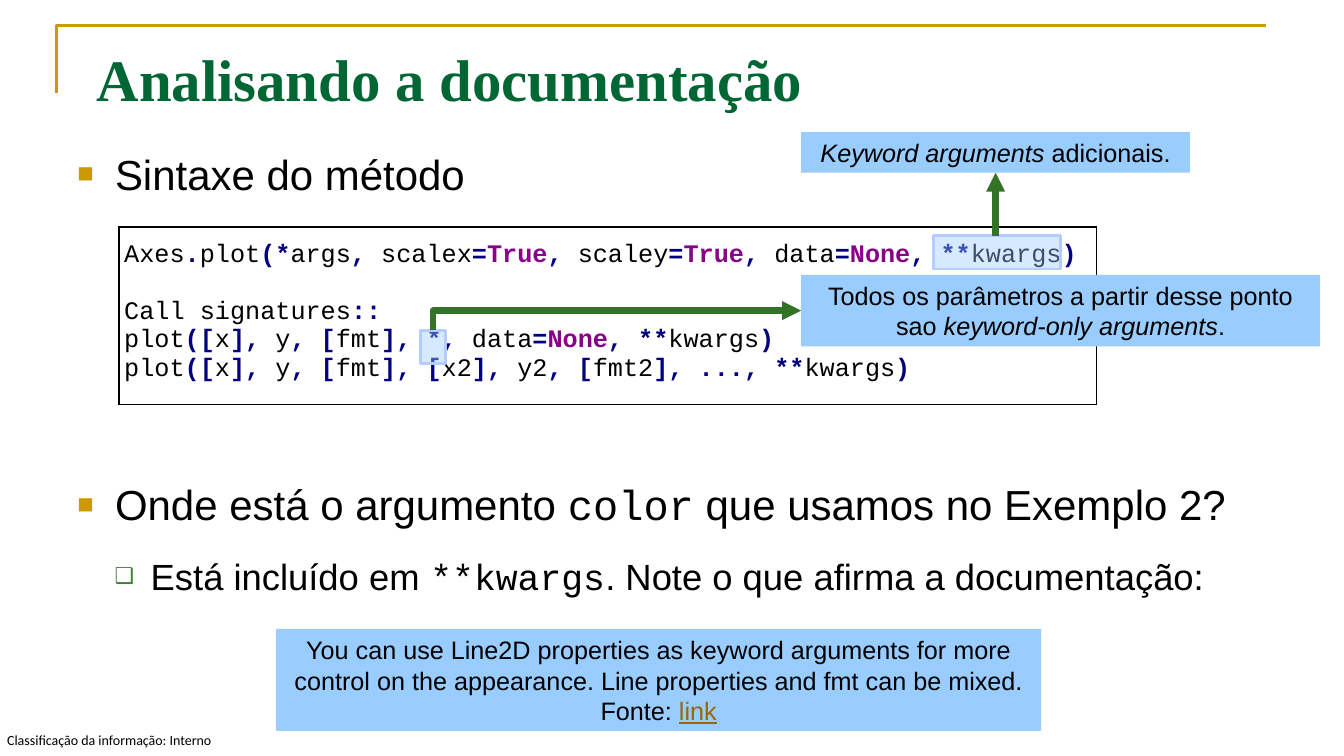
from itertools import groupby

from pptx import Presentation
from pptx.dml.color import RGBColor
from pptx.enum.shapes import MSO_CONNECTOR, MSO_SHAPE
from pptx.enum.text import MSO_ANCHOR, PP_ALIGN
from pptx.oxml import parse_xml
from pptx.oxml.ns import nsdecls, qn
from pptx.util import Cm, Pt

BLACK = RGBColor(0x00, 0x00, 0x00)
GOLD = RGBColor(0xCC, 0x99, 0x00)
TITLE_GREEN = RGBColor(0x00, 0x66, 0x33)
ARROW_GREEN = RGBColor(0x33, 0x73, 0x27)
BULLET_GREEN = RGBColor(0x3B, 0x81, 0x2F)
SKY = RGBColor(0x99, 0xCC, 0xFF)
MARK_EDGE = RGBColor(0xB4, 0xCC, 0xFF)
NAVY = RGBColor(0x00, 0x00, 0x80)
PURPLE = RGBColor(0x88, 0x00, 0x88)
LINK_BROWN = RGBColor(0x99, 0x66, 0x00)
SANS, MONO = "Arial", "Courier New"

TITLE = "Analisando a documentação"
FOOTER = "Classificação da informação: Interno"
ITALIC = {"italic": True}
CODE_FONT = {"name": MONO}
LINK = {"underline": True, "color": LINK_BROWN}

TOPICS = [
    {"runs": [("Sintaxe do método", {})], "level": 0, "gap": 0},
    {"runs": [("Onde está o argumento ", {}), ("color", CODE_FONT),
              (" que usamos no Exemplo 2?", {})], "level": 0, "gap": 200},
    {"runs": [("Está incluído em ", {}), ("**kwargs", CODE_FONT),
              (". Note o que afirma a documentação:", {})], "level": 1, "gap": 18},
]
LEVELS = [
    {"size": 30, "left": 0.95, "hang": 0.95, "bullet": "■", "color": GOLD, "percent": 65},
    {"size": 26, "left": 1.85, "hang": 0.91, "bullet": "❑", "color": BULLET_GREEN, "percent": 60},
]
CODE = [
    "Axes.plot(*args, scalex=True, scaley=True, data=None, **kwargs)",
    "Call signatures::",
    "plot([x], y, [fmt], *, data=None, **kwargs)",
    "plot([x], y, [fmt], [x2], y2, [fmt2], ..., **kwargs)",
]
CONSTANTS = ("True", "None")
PUNCTUATION = "()[]*.,=:"

STAR_MARK = (10.59, 8.33, 0.64, 0.84)
KWARGS_MARK = (23.52, 5.94, 3.2, 0.84)
KEYWORD_ONLY_BOX = (20.19, 6.93, 13.08, 1.8)
KEYWORD_BOX = (20.19, 3.33, 9.8, 1.02)
QUOTE_BOX = (6.96, 15.85, 19.28, 2.57)
KEYWORD_ONLY_NOTE = [[("Todos os parâmetros a partir desse ponto sao ", {}),
                      ("keyword-only arguments", ITALIC), (".", {})]]
KEYWORD_NOTE = [[("Keyword arguments", ITALIC), (" adicionais.", {})]]
QUOTE = [
    [("You can use Line2D properties as keyword arguments for more control on the "
      "appearance. Line properties and fmt can be mixed.", {})],
    [("Fonte: ", {}), ("link", LINK)],
]


def place(box):
    return [Cm(length) for length in box]


def add_run(paragraph, text, size, name=SANS, color=BLACK, **style):
    run = paragraph.add_run()
    run.text = text
    run.font.size = Pt(size)
    run.font.name = name
    run.font.color.rgb = color
    for attribute, value in style.items():
        setattr(run.font, attribute, value)


def paragraphs_for(frame, items):
    for index, item in enumerate(items):
        yield (frame.add_paragraph() if index else frame.paragraphs[0]), item


def add_frame(slide):
    builder = slide.shapes.build_freeform(Cm(1.42), Cm(2.34))
    builder.add_line_segments([(Cm(1.42), Cm(0.64)), (Cm(31.9), Cm(0.64))], close=False)
    frame = builder.convert_to_shape()
    frame.shadow.inherit = False
    frame.fill.background()
    frame.line.color.rgb = GOLD
    frame.line.width = Pt(2.5)


def add_footer(slide):
    footer = slide.shapes.add_textbox(*place((0.18, 18.44, 5.26, 0.43))).text_frame
    footer.margin_left = footer.margin_right = footer.margin_top = footer.margin_bottom = 0
    add_run(footer.paragraphs[0], FOOTER, 10, name="Calibri")


def add_title(slide):
    title = slide.shapes.title
    title.left, title.top, title.width, title.height = place((2.18, 0.91, 30.48, 2.08))
    title.text_frame.vertical_anchor = MSO_ANCHOR.BOTTOM
    heading = title.text_frame.paragraphs[0]
    heading.alignment = PP_ALIGN.LEFT
    add_run(heading, TITLE, 42, name="Times New Roman", color=TITLE_GREEN, bold=True)


def add_topics(slide):
    body = slide.shapes.add_textbox(*place((1.7, 3.61, 30.48, 12.57))).text_frame
    body.word_wrap = True
    for paragraph, topic in paragraphs_for(body, TOPICS):
        level = LEVELS[topic["level"]]
        properties = paragraph._p.get_or_add_pPr()
        properties.set("marL", str(Cm(level["left"])))
        properties.set("indent", str(-Cm(level["hang"])))
        for element in (
            f'<a:buClr {nsdecls("a")}><a:srgbClr val="{level["color"]}"/></a:buClr>',
            f'<a:buSzPct {nsdecls("a")} val="{level["percent"] * 1000}"/>',
            f'<a:buFont {nsdecls("a")} typeface="{SANS}"/>',
            f'<a:buChar {nsdecls("a")} char="{level["bullet"]}"/>',
        ):
            properties.append(parse_xml(element))
        paragraph.alignment = PP_ALIGN.JUSTIFY
        paragraph.level = topic["level"]
        paragraph.space_before = Pt(topic["gap"])
        for text, style in topic["runs"]:
            add_run(paragraph, text, level["size"], **style)


def add_code(slide):
    table = slide.shapes.add_table(1, 1, *place((3, 5.72, 24.64, 4.47))).table
    table.first_row = table.horz_banding = False
    cell = table.cell(0, 0)
    cell.margin_left = cell.margin_right = Cm(0.13)
    cell.margin_top = cell.margin_bottom = 0
    for side in "LRTB":
        cell._tc.get_or_add_tcPr().append(parse_xml(
            f'<a:ln{side} {nsdecls("a")} w="{Pt(1)}"><a:solidFill>'
            f'<a:srgbClr val="{BLACK}"/></a:solidFill></a:ln{side}>'))
    cell.fill.background()
    for paragraph, line in paragraphs_for(cell.text_frame, CODE):
        for is_punctuation, characters in groupby(line, lambda c: c in PUNCTUATION):
            token = "".join(characters)
            constant = token in CONSTANTS
            color = PURPLE if constant else NAVY if is_punctuation else BLACK
            add_run(paragraph, token, 18, name=MONO, color=color,
                    bold=is_punctuation or constant)
    signature, heading = cell.text_frame.paragraphs[:2]
    signature.line_spacing = 1.5
    heading.space_before = Pt(20.4)


def add_box(slide, box):
    rectangle = slide.shapes.add_shape(MSO_SHAPE.RECTANGLE, *place(box))
    rectangle.shadow.inherit = False
    rectangle.fill.solid()
    rectangle.fill.fore_color.rgb = SKY
    return rectangle


def add_mark(slide, box):
    mark = add_box(slide, box)
    color = mark._element.spPr.find(qn("a:solidFill")).find(qn("a:srgbClr"))
    color.append(parse_xml(f'<a:alpha {nsdecls("a")} val="40000"/>'))
    mark.line.color.rgb = MARK_EDGE
    mark.line.width = Pt(2)


def add_note(slide, box, lines):
    note = add_box(slide, box)
    note.line.fill.background()
    note.text_frame.word_wrap = True
    for paragraph, runs in paragraphs_for(note.text_frame, lines):
        paragraph.alignment = PP_ALIGN.CENTER
        for text, style in runs:
            add_run(paragraph, text, 18, **style)


def add_arrow(slide, kind, *ends):
    arrow = slide.shapes.add_connector(kind, *place(ends))
    arrow.line.color.rgb = ARROW_GREEN
    arrow.line.width = Pt(4.5)
    properties = arrow._element.spPr
    properties.find(qn("a:ln")).append(parse_xml(f'<a:tailEnd {nsdecls("a")} type="triangle"/>'))
    properties.append(parse_xml(f'<a:effectLst {nsdecls("a")}/>'))
    return properties


def add_corner_arrow(slide, start_x, start_y, end_x, end_y):
    run, rise = end_x - start_x, start_y - end_y
    left = (start_x + end_x - rise) / 2
    top = (start_y + end_y - run) / 2
    properties = add_arrow(slide, MSO_CONNECTOR.ELBOW, left + rise, top + run, left, top)
    properties.find(qn("a:xfrm")).set("rot", "5400000")
    properties.find(qn("a:prstGeom")).set("prst", "bentConnector2")


def main():
    """Build the slide that explains the plot signature."""
    deck = Presentation()
    deck.slide_width, deck.slide_height = Cm(33.87), Cm(19.05)
    slide = deck.slides.add_slide(deck.slide_layouts[5])
    add_frame(slide)
    add_footer(slide)
    add_title(slide)
    add_topics(slide)
    add_code(slide)
    add_mark(slide, STAR_MARK)
    star_x, star_y, star_width, _ = STAR_MARK
    note_x, note_y, _, note_height = KEYWORD_ONLY_BOX
    add_corner_arrow(slide, star_x + star_width / 2, star_y, note_x, note_y + note_height / 2)
    add_note(slide, KEYWORD_ONLY_BOX, KEYWORD_ONLY_NOTE)
    add_mark(slide, KWARGS_MARK)
    keyword_x, keyword_y, keyword_width, keyword_height = KEYWORD_BOX
    middle = keyword_x + keyword_width / 2
    add_arrow(slide, MSO_CONNECTOR.STRAIGHT, middle, KWARGS_MARK[1], middle, keyword_y + keyword_height)
    add_note(slide, KEYWORD_BOX, KEYWORD_NOTE)
    add_note(slide, QUOTE_BOX, QUOTE)
    deck.save("out.pptx")


if __name__ == "__main__":
    main()
